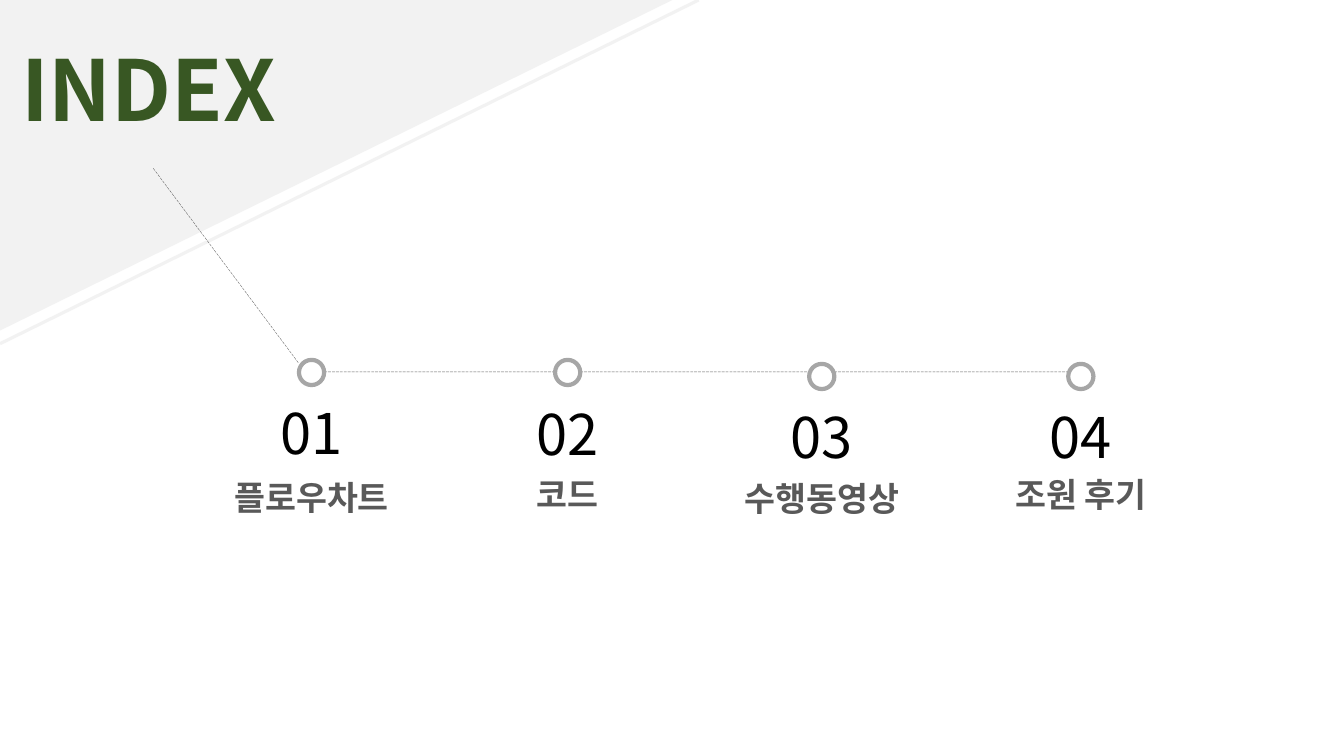
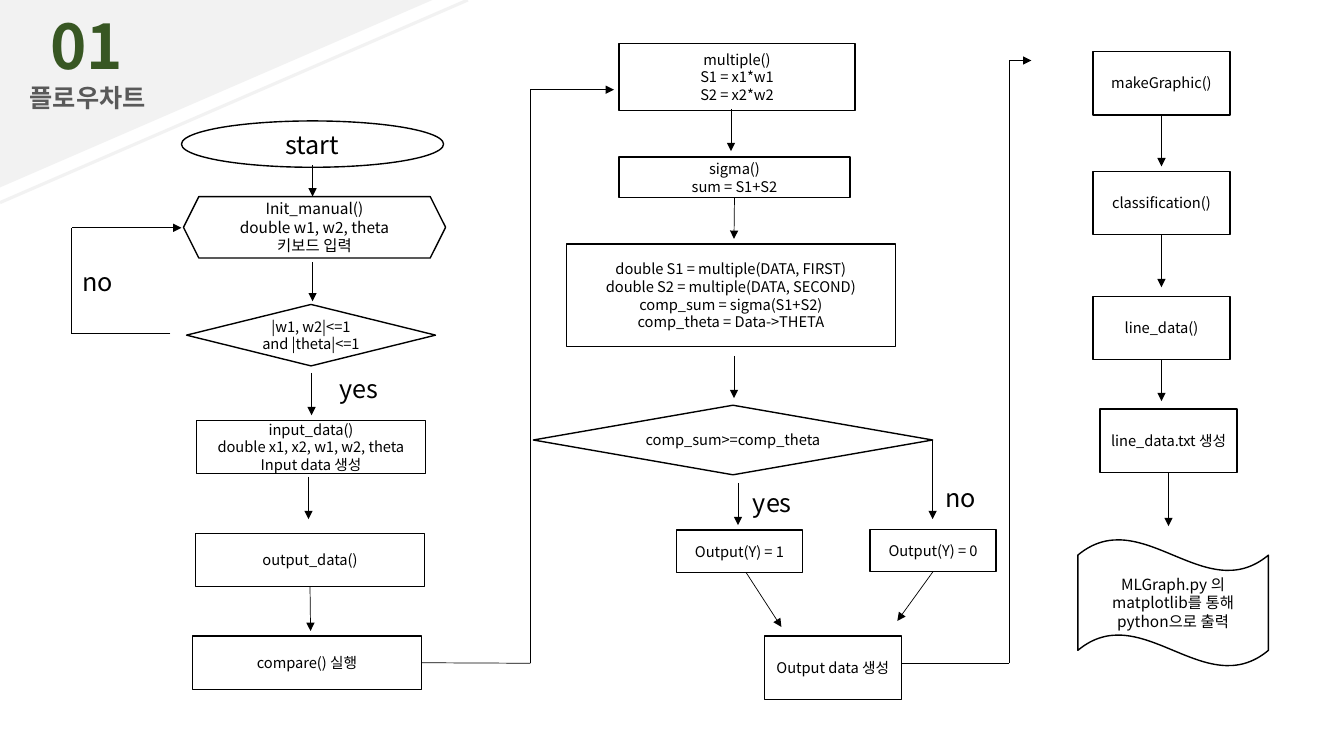
from dataclasses import dataclass
from itertools import pairwise

from lxml import etree
from pptx import Presentation
from pptx import util as u
from pptx.dml import color as col
from pptx.enum import dml, shapes, text
from pptx.oxml import ns
from pptx.shapes.autoshape import Shape
from pptx.shapes.connector import Connector
from pptx.slide import Slide

INK = {
    "band": "F2F2F2",
    "title": "385723",
    "label": "595959",
    "ring": "A6A6A6",
    "black": "000000",
    "white": "FFFFFF",
}
FONT = "Noto Sans CJK KR"
KIND = shapes.MSO_SHAPE
MID = text.PP_ALIGN.CENTER
LEFT = text.PP_ALIGN.LEFT
BOTTOM, RIGHT = 2, 3
RING = 0.25


@dataclass(frozen=True)
class Stop:
    num: str
    label: str
    x: float
    ring_y: float
    num_y: float
    label_y: float


@dataclass(frozen=True)
class Box:
    words: str
    x: float
    y: float
    w: float
    h: float
    kind: int = KIND.RECTANGLE
    size: float = 10.5


@dataclass(frozen=True)
class Route:
    points: tuple[tuple[float, float], ...]
    source: str = ""
    side: int = BOTTOM


@dataclass(frozen=True)
class Note:
    words: str
    x: float
    y: float
    w: float


STOPS = (
    Stop("01", "플로우차트", 3.09, 3.57, 3.9, 4.68),
    Stop("02", "코드", 5.63, 3.57, 3.91, 4.65),
    Stop("03", "수행동영상", 8.15, 3.61, 3.94, 4.69),
    Stop("04", "조원 후기", 10.72, 3.61, 3.94, 4.65),
)

BOXES = {
    "start": Box("start", 1.8, 1.2, 2.6, 0.46, KIND.OVAL, 18),
    "init": Box("Init_manual()\ndouble w1, w2, theta\n키보드 입력",
                1.82, 1.95, 2.6, 0.61, KIND.HEXAGON, 11),
    "check": Box("|w1, w2|<=1 and |theta|<=1",
                 1.85, 3.02, 2.47, 0.61, KIND.FLOWCHART_DECISION),
    "input": Box("input_data()\ndouble x1, x2, w1, w2, theta\nInput data 생성",
                 1.95, 4.17, 2.27, 0.53),
    "output": Box("output_data()", 1.94, 5.29, 2.27, 0.53),
    "compare": Box("compare() 실행", 1.91, 6.31, 2.27, 0.53),
    "product": Box("multiple()\nS1 = x1*w1\nS2 = x2*w2", 6.14, 0.43, 2.34, 0.67),
    "sigma": Box("sigma()\nsum = S1+S2", 6.14, 1.56, 2.29, 0.4),
    "sums": Box("double S1 = multiple(DATA, FIRST)\n"
                "double S2 = multiple(DATA, SECOND)\n"
                "comp_sum = sigma(S1+S2)\n"
                "comp_theta = Data->THETA", 5.62, 2.42, 3.26, 1.02),
    "test": Box("comp_sum>=comp_theta",
                5.29, 4.02, 3.96, 0.69, KIND.FLOWCHART_DECISION),
    "one": Box("Output(Y) = 1", 6.71, 5.26, 1.25, 0.42),
    "zero": Box("Output(Y) = 0", 8.63, 5.25, 1.25, 0.42),
    "result": Box("Output data 생성", 7.58, 6.31, 1.36, 0.63),
    "graphic": Box("makeGraphic()", 10.84, 0.51, 1.36, 0.63),
    "class": Box("classification()", 10.84, 1.7, 1.36, 0.63),
    "line": Box("line_data()", 10.84, 2.94, 1.36, 0.63),
    "file": Box("line_data.txt 생성", 10.91, 4.06, 1.36, 0.63),
    "plot": Box("MLGraph.py 의 matplotlib를 통해 python으로 출력",
                10.69, 5.35, 1.89, 1.26, KIND.WAVE, 11),
}

ROUTES = (
    Route(((3.1, 1.64), (3.1, 1.95))),
    Route(((3.1, 2.6), (3.1, 2.99))),
    Route(((3.09, 3.7), (3.09, 4.12))),
    Route(((3.06, 4.73), (3.06, 5.15))),
    Route(((3.08, 5.82), (3.08, 6.26)), "output"),
    Route(((1.69, 3.31), (0.71, 3.31), (0.71, 2.26), (1.8, 2.26))),
    Route(((4.18, 6.58), (5.26, 6.58), (5.26, 0.89), (6.09, 0.89)), "compare", RIGHT),
    Route(((7.25, 1.08), (7.25, 1.5))),
    Route(((7.28, 1.96), (7.28, 2.37)), "sigma"),
    Route(((7.28, 3.53), (7.28, 3.95))),
    Route(((7.32, 4.79), (7.32, 5.21))),
    Route(((9.25, 4.37), (9.25, 5.15))),
    Route(((7.4, 5.68), (7.75, 6.22))),
    Route(((9.26, 5.67), (8.9, 6.16)), "zero"),
    Route(((8.94, 6.58), (10.01, 6.58), (10.01, 0.6), (10.23, 0.6))),
    Route(((11.52, 1.14), (11.52, 1.65)), "graphic"),
    Route(((11.52, 2.33), (11.52, 2.85)), "class"),
    Route(((11.52, 3.57), (11.52, 3.98)), "line"),
    Route(((11.59, 4.69), (11.59, 5.22)), "file"),
)

NOTES = (
    Note("no", 0.72, 2.59, 0.74),
    Note("yes", 3.27, 3.65, 1.04),
    Note("yes", 7.37, 4.79, 0.74),
    Note("no", 9.28, 4.74, 0.74),
)


def tint(name: str) -> col.RGBColor:
    return col.RGBColor.from_string(INK[name])


def write(shape: Shape, words: str, size: float, ink: str = "black",
          bold: bool = False, align: text.PP_ALIGN = MID) -> None:
    frame = shape.text_frame
    frame.word_wrap = True
    for i, line in enumerate(words.split("\n")):
        para = frame.add_paragraph() if i else frame.paragraphs[0]
        para.alignment = align
        run = para.add_run()
        run.text = line
        font = run.font
        font.size = u.Pt(size)
        font.bold = bold
        font.color.rgb = tint(ink)
        font.name = FONT
        east = etree.SubElement(run._r.get_or_add_rPr(), ns.qn("a:ea"))
        east.set("typeface", FONT)


def label(slide: Slide, words: str, x: float, y: float, w: float, h: float,
          size: float, ink: str = "black", bold: bool = False,
          align: text.PP_ALIGN = MID) -> None:
    box = slide.shapes.add_textbox(u.Inches(x), u.Inches(y), u.Inches(w), u.Inches(h))
    write(box, words, size, ink, bold, align)
    box.text_frame.auto_size = text.MSO_AUTO_SIZE.SHAPE_TO_FIT_TEXT


def form(slide: Slide, kind: int, x: float, y: float, w: float, h: float,
         fill: str = "white", edge: str = "", width: float = 1) -> Shape:
    shape = slide.shapes.add_shape(
        kind, u.Inches(x), u.Inches(y), u.Inches(w), u.Inches(h))
    shape.shadow.inherit = False
    shape.fill.solid()
    shape.fill.fore_color.rgb = tint(fill)
    if edge:
        shape.line.color.rgb = tint(edge)
        shape.line.width = u.Pt(width)
    else:
        shape.line.fill.background()
    return shape


def wire(slide: Slide, start: tuple[float, float], end: tuple[float, float],
         width: float = 0.5, ink: str = "black") -> Connector:
    line = slide.shapes.add_connector(
        shapes.MSO_CONNECTOR.STRAIGHT, *(u.Inches(n) for n in (*start, *end)))
    line.line.color.rgb = tint(ink)
    line.line.width = u.Pt(width)
    etree.SubElement(line._element.spPr, ns.qn("a:effectLst"))
    return line


def dash(slide: Slide, start: tuple[float, float], end: tuple[float, float]) -> None:
    line = wire(slide, start, end, 0.25)
    line.line.dash_style = dml.MSO_LINE.LONG_DASH
    shade = line._element.spPr.find(".//" + ns.qn("a:srgbClr"))
    etree.SubElement(shade, ns.qn("a:alpha")).set("val", "61000")


def trace(slide: Slide, route: Route, made: dict[str, Shape]) -> None:
    lines = [wire(slide, a, b) for a, b in pairwise(route.points)]
    if route.source:
        lines[0].begin_connect(made[route.source], route.side)
    tip = etree.SubElement(lines[-1].line._get_or_add_ln(), ns.qn("a:tailEnd"))
    tip.set("type", "triangle")


def corner(slide: Slide, w: float, h: float,
           start: tuple[float, float], end: tuple[float, float]) -> None:
    wedge = form(slide, KIND.RIGHT_TRIANGLE, 0, 0, w, h, "band")
    wedge._element.spPr.get_or_add_xfrm().set("flipV", "1")
    wire(slide, start, end, 2.25, "band")


def index(slide: Slide) -> None:
    corner(slide, 6.67, 3.28, (0, 3.41), (6.93, 0))
    label(slide, "INDEX", 0, 0.32, 2.95, 1.11, 60, "title", True)
    dash(slide, (1.52, 1.67), (2.96, 3.6))
    for a, b in pairwise(STOPS):
        dash(slide, (a.x + RING / 2, 3.69), (b.x - RING / 2, 3.69))
    for stop in STOPS:
        form(slide, KIND.OVAL, stop.x - RING / 2, stop.ring_y, RING, RING,
             edge="ring", width=3)
        label(slide, stop.num, stop.x - 0.42, stop.num_y, 0.84, 0.77, 40)
        label(slide, stop.label, stop.x - 1.1, stop.label_y, 2.2, 0.5,
              24, "label", True)


def chart(slide: Slide) -> None:
    corner(slide, 4.29, 1.86, (0, 2.01), (4.64, 0))
    label(slide, "플로우차트", 0, 0.77, 1.74, 0.4, 18, "label", True)
    label(slide, "01", 0.4, 0.03, 1.01, 1.14, 44, "title", True, LEFT)
    made = {}
    for key, box in BOXES.items():
        shape = form(slide, box.kind, box.x, box.y, box.w, box.h, edge="black")
        shape.text_frame.vertical_anchor = text.MSO_ANCHOR.MIDDLE
        write(shape, box.words, box.size)
        made[key] = shape
    for route in ROUTES:
        trace(slide, route, made)
    for note in NOTES:
        label(slide, note.words, note.x, note.y, note.w, 0.4, 18, align=LEFT)


def main() -> None:
    deck = Presentation()
    deck.slide_width = u.Inches(13.33)
    deck.slide_height = u.Inches(7.5)
    for draw in (index, chart):
        draw(deck.slides.add_slide(deck.slide_layouts[6]))
    deck.save("out.pptx")


if __name__ == "__main__":
    main()
